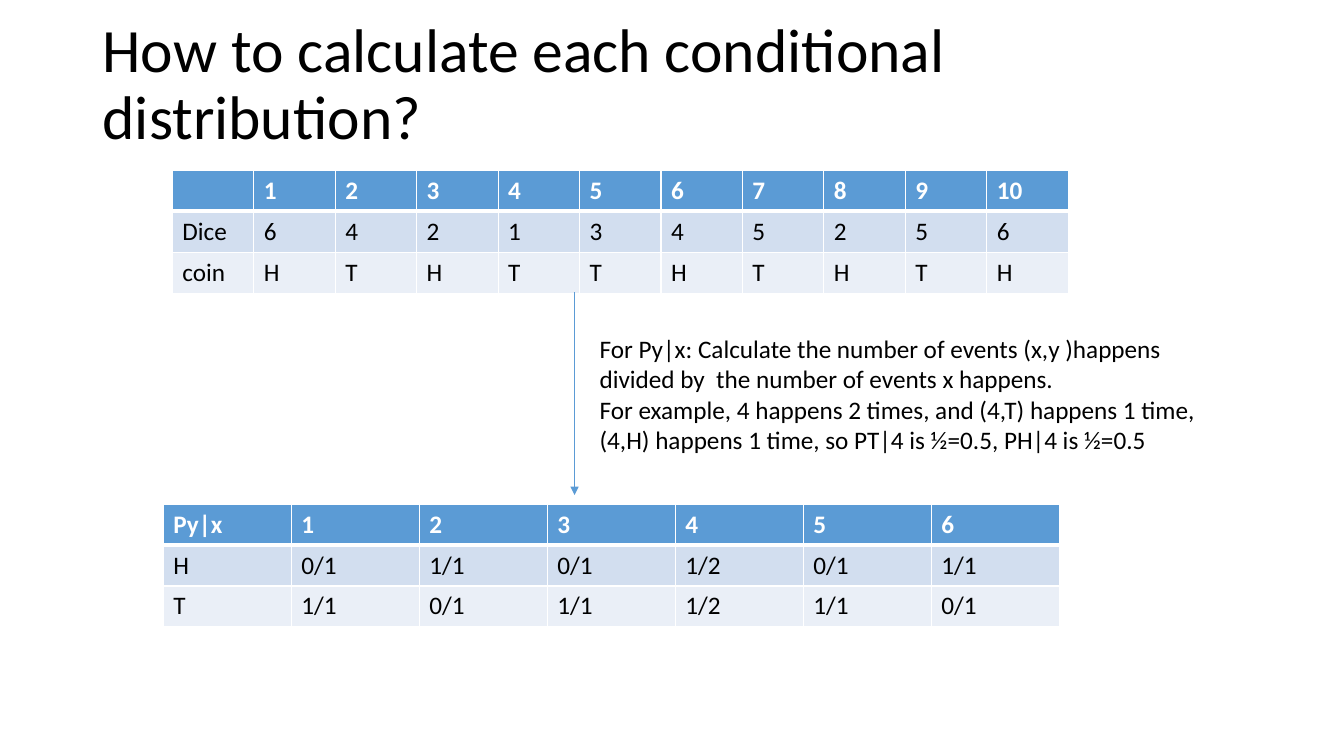
from dataclasses import dataclass

import lxml.etree
import pptx
import pptx.dml.color
import pptx.enum.shapes
import pptx.enum.text
import pptx.oxml.ns
import pptx.util

# Grid: one cell is a tenth of an inch
COLS, ROWS = 133.33, 75
CELL = 0.1


@dataclass(frozen=True)
class Theme:
    font: str = "Calibri"
    title_size: int = 44
    body_size: int = 18
    text: str = "000000"
    light: str = "FFFFFF"
    accent: str = "5B9BD5"
    bands: tuple = ("D2DEEF", "EAEFF7")
    arrow_width: float = 0.5
    thin: int = 1
    thick: int = 3


THEME = Theme()


@dataclass(frozen=True)
class Box:
    col: float
    row: float
    cols: float
    rows: float

    def emu(self) -> list:
        return [grid(n) for n in (self.col, self.row, self.cols, self.rows)]


@dataclass(frozen=True)
class DataTable:
    box: Box
    rows: tuple


@dataclass(frozen=True)
class TextBlock:
    box: Box
    paragraphs: tuple
    size: int
    frame: dict
    spacing: float = 1.0


# Content
TABLES = (
    DataTable(Box(17.1, 16.9, 88.9, 12.2), (
        ("", *map(str, range(1, 11))),
        ("Dice", *"6421345256"),
        ("coin", *"HTHTTHTHTH"),
    )),
    DataTable(Box(16.2, 50, 88.9, 12.2), (
        ("Py|x", *"123456"),
        ("H", "0/1", "1/1", "0/1", "1/2", "0/1", "1/1"),
        ("T", "1/1", "0/1", "1/1", "1/2", "1/1", "0/1"),
    )),
)
ARROW = Box(57, 29, 0, 20.1)
TEXTS = (
    TextBlock(
        Box(58.5, 32.6, 62.2, 13.1),
        ("For Py|x: Calculate the number of events (x,y )happens "
         "divided by  the number of events x happens.",
         "For example, 4 happens 2 times, and (4,T) happens 1 time, "
         "(4,H) happens 1 time, so PT|4 is ½=0.5, PH|4 is ½=0.5"),
        THEME.body_size,
        {"auto_size": pptx.enum.text.MSO_AUTO_SIZE.SHAPE_TO_FIT_TEXT},
    ),
    TextBlock(
        Box(9.2, 1.3, 115, 14.5),
        ("How to calculate each conditional distribution?",),
        THEME.title_size,
        {"vertical_anchor": pptx.enum.text.MSO_ANCHOR.MIDDLE},
        0.9,
    ),
)


def grid(cells: float) -> int:
    return pptx.util.Inches(cells * CELL)


def rgb(value: str) -> pptx.dml.color.RGBColor:
    return pptx.dml.color.RGBColor.from_string(value)


def apply(target: object, values: dict) -> None:
    for name, value in values.items():
        setattr(target, name, value)


def write(p, text: str, size: int, color: str, bold: bool = False) -> None:
    r = p.add_run()
    r.text = text
    apply(r.font, {"name": THEME.font, "size": pptx.util.Pt(size), "bold": bold})
    r.font.color.rgb = rgb(color)


def set_borders(cell, widths: dict) -> None:
    qn = pptx.oxml.ns.qn
    tc_pr = cell._tc.get_or_add_tcPr()
    for i, (side, width) in enumerate(widths.items()):
        ln = lxml.etree.Element(qn(f"a:ln{side}"), w=str(pptx.util.Pt(width)))
        fill = lxml.etree.SubElement(ln, qn("a:solidFill"))
        lxml.etree.SubElement(fill, qn("a:srgbClr"), val=THEME.light)
        tc_pr.insert(i, ln)


def draw_table(s, data: DataTable) -> None:
    n_rows, n_cols = len(data.rows), len(data.rows[0])
    table = s.shapes.add_table(n_rows, n_cols, *data.box.emu()).table
    for column in table.columns:
        column.width = grid(data.box.cols / n_cols)
    for row in table.rows:
        row.height = grid(data.box.rows / n_rows)
    for i, values in enumerate(data.rows):
        header = i == 0
        for j, text in enumerate(values):
            cell = table.cell(i, j)
            cell.fill.solid()
            cell.fill.fore_color.rgb = rgb(THEME.accent if header else THEME.bands[i - 1])
            set_borders(cell, {
                "L": THEME.thin,
                "R": THEME.thin,
                "T": THEME.thick if i == 1 else THEME.thin,
                "B": THEME.thick if header else THEME.thin,
            })
            if text:
                color = THEME.light if header else THEME.text
                write(cell.text_frame.paragraphs[0], text, THEME.body_size, color, header)


def draw_arrow(s, box: Box) -> None:
    qn = pptx.oxml.ns.qn
    x, y, w, h = box.emu()
    line = s.shapes.add_connector(
        pptx.enum.shapes.MSO_CONNECTOR.STRAIGHT, x, y, x + w, y + h)
    line.line.color.rgb = rgb(THEME.accent)
    line.line.width = pptx.util.Pt(THEME.arrow_width)
    lxml.etree.SubElement(line.line._get_or_add_ln(), qn("a:tailEnd"), type="triangle")
    lxml.etree.SubElement(line._element.spPr, qn("a:effectLst"))


def draw_text(s, block: TextBlock) -> None:
    tf = s.shapes.add_textbox(*block.box.emu()).text_frame
    apply(tf, {"word_wrap": True, **block.frame})
    for i, text in enumerate(block.paragraphs):
        p = tf.add_paragraph() if i else tf.paragraphs[0]
        p.line_spacing = block.spacing
        write(p, text, block.size, THEME.text)


def main() -> None:
    prs = pptx.Presentation()
    apply(prs, {"slide_width": grid(COLS), "slide_height": grid(ROWS)})
    s = prs.slides.add_slide(prs.slide_layouts[6])

    # Samples above, conditional distribution below
    for data in TABLES:
        draw_table(s, data)

    # Arrow between the tables, explanation and title
    draw_arrow(s, ARROW)
    for block in TEXTS:
        draw_text(s, block)

    prs.save("out.pptx")


if __name__ == "__main__":
    main()
